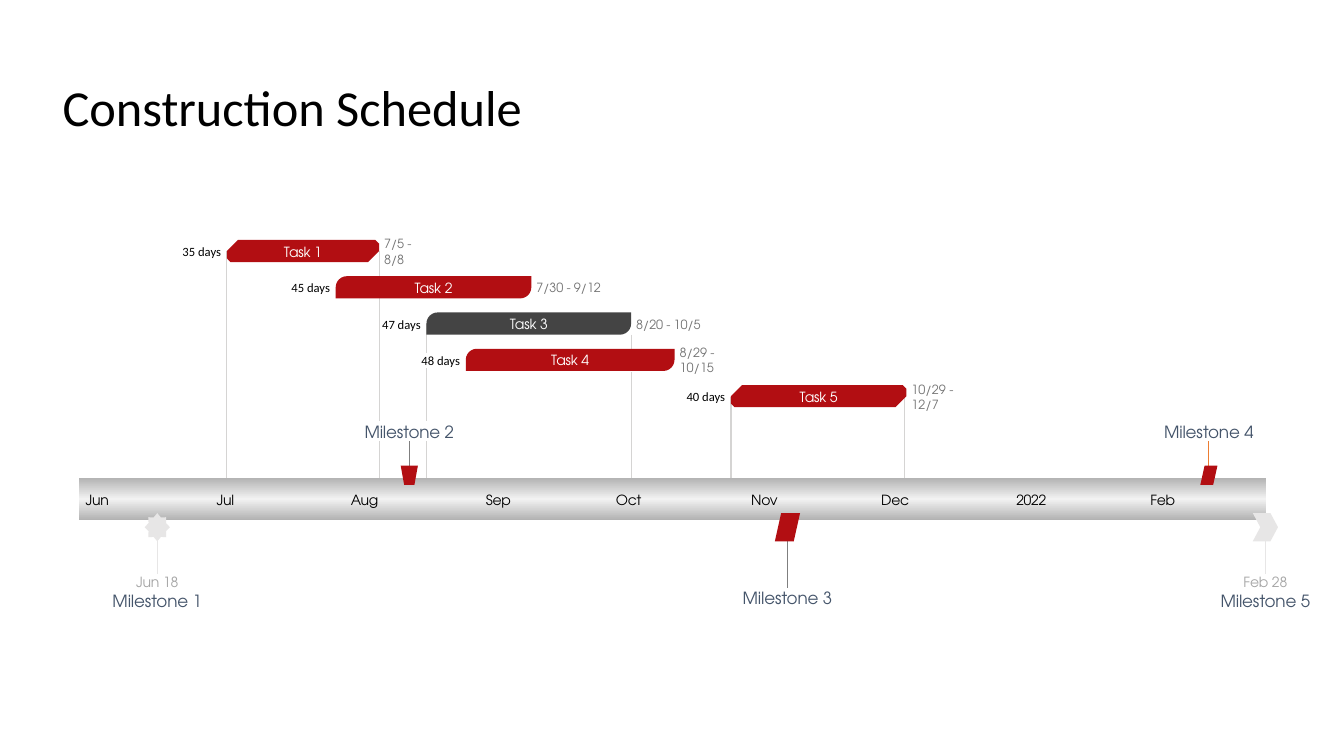
from pptx import Presentation
from pptx.dml.color import RGBColor
from pptx.enum.shapes import MSO_CONNECTOR, MSO_SHAPE
from pptx.enum.text import MSO_ANCHOR, MSO_AUTO_SIZE, PP_ALIGN
from pptx.util import Inches, Pt
from copy import deepcopy
from lxml import etree

SNIP = MSO_SHAPE.SNIP_2_DIAG_RECTANGLE
ROUND = MSO_SHAPE.ROUND_2_DIAG_RECTANGLE
TRAPEZOID = MSO_SHAPE.FLOWCHART_MANUAL_OPERATION
SLANTED = MSO_SHAPE.PARALLELOGRAM
STAR = MSO_SHAPE.STAR_8_POINT
CHEVRON = MSO_SHAPE.CHEVRON
RECTANGLE = MSO_SHAPE.RECTANGLE
STRAIGHT = MSO_CONNECTOR.STRAIGHT
LEFT, CENTER = PP_ALIGN.LEFT, PP_ALIGN.CENTER
MIDDLE, TOP = MSO_ANCHOR.MIDDLE, MSO_ANCHOR.TOP
GROW, FIXED = MSO_AUTO_SIZE.SHAPE_TO_FIT_TEXT, MSO_AUTO_SIZE.NONE

BODY_FONT, PLAIN_FONT = "TeX Gyre Adventor", "Calibri"
RED, CHARCOAL, PALE = "B20E12", "444444", "E7E6E6"
GUIDE, STEM_GREY, ORANGE = "D5D4D3", "7F7F7F", "ED7D31"
BLACK, WHITE, SLATE = "000000", "FFFFFF", "44546A"
DATE_GREY, RANGE_GREY = "A5A5A5", "737373"

TIMELINE_TOP = 4.74
FIRST_ROW, ROW_STEP, BAR_HEIGHT = 2.38, 0.36, 0.22
LABEL_GAP = 0.05

MONTHS = [("Jun", 0.85, 0.23), ("Jul", 2.15, 0.17), ("Aug", 3.48, 0.28),
          ("Sep", 4.82, 0.26), ("Oct", 6.11, 0.26), ("Nov", 7.45, 0.27),
          ("Dec", 8.74, 0.29), ("2022", 10.08, 0.31), ("Feb", 11.41, 0.26)]

# name, duration, dates, left, width, outline, colour, dates width, spacing
TASKS = [
    ("Task 1", "35 days", "7/5 - 8/8", 2.25, 1.51, SNIP, RED, 0.5, -10),
    ("Task 2", "45 days", "7/30 - 9/12", 3.33, 1.94, ROUND, RED, 0.64, -10),
    ("Task 3", "47 days", "8/20 - 10/5", 4.23, 2.03, ROUND, CHARCOAL, 0.64, -10),
    ("Task 4", "48 days", "8/29 - 10/15", 4.62, 2.07, ROUND, RED, 0.71, 0),
    ("Task 5", "40 days", "10/29 - 12/7", 7.25, 1.74, SNIP, RED, 0.71, 0),
]

# x, then the visible stretches between the bars and labels it passes
GUIDES = [
    (2.25, [(2.49, TIMELINE_TOP)]),
    (3.76, [(2.49, 2.74), (2.96, 4.18), (4.38, TIMELINE_TOP)]),
    (4.23, [(3.21, 3.5), (3.65, 4.18), (4.38, TIMELINE_TOP)]),
    (6.26, [(3.32, 3.46), (3.69, TIMELINE_TOP)]),
    (7.25, [(3.94, TIMELINE_TOP)]),
    (8.97, [(3.94, TIMELINE_TOP)]),
]

# name, centre x, label top, outline, marker colour, stem colour, date
MILESTONES = [
    ("Milestone 1", 1.56, 5.86, STAR, PALE, PALE, "Jun 18"),
    ("Milestone 2", 4.06, 4.18, TRAPEZOID, RED, STEM_GREY, None),
    ("Milestone 3", 7.81, 5.83, SLANTED, RED, STEM_GREY, None),
    ("Milestone 4", 11.99, 4.18, SLANTED, RED, ORANGE, None),
    ("Milestone 5", 12.55, 5.86, CHEVRON, PALE, PALE, "Feb 28"),
]


def rgb(value):
    return RGBColor.from_string(value)


def write(paragraph, text, size, color, font=BODY_FONT, spacing=0):
    run = paragraph.add_run()
    run.text = text
    run.font.size = Pt(size)
    run.font.name = font
    run.font.color.rgb = rgb(color)
    if spacing:
        run.font._element.set("spc", str(spacing))


def add_label(slide, text, left, top, width, height, size, color,
              font=BODY_FONT, align=LEFT, spacing=-10, wrap=True):
    label = slide.shapes.add_textbox(Inches(left), Inches(top),
                                     Inches(width), Inches(height))
    frame = label.text_frame
    frame.margin_left = frame.margin_right = 0
    frame.margin_top = frame.margin_bottom = 0
    frame.word_wrap = wrap
    frame.auto_size = GROW if wrap else FIXED
    frame.vertical_anchor = MIDDLE
    paragraph = frame.paragraphs[0]
    paragraph.alignment = align
    write(paragraph, text, size, color, font, spacing)
    return label


def add_block(slide, outline, left, top, width, height, color):
    block = slide.shapes.add_shape(outline, Inches(left), Inches(top),
                                   Inches(width), Inches(height))
    block.shadow.inherit = False
    block.line.fill.background()
    block.fill.solid()
    block.fill.fore_color.rgb = rgb(color)
    return block


def add_vertical(slide, x, top, bottom, color):
    line = slide.shapes.add_connector(STRAIGHT, Inches(x), Inches(top),
                                      Inches(x), Inches(bottom))
    line.line.width = Pt(0.75)
    line.line.color.rgb = rgb(color)
    properties = line._element.spPr
    etree.SubElement(properties, properties.tag.replace(
        "presentationml", "drawingml").replace("spPr", "effectLst"))
    for effects in properties.findall("{*}effectLst"):
        effects_tag = "{http://schemas.openxmlformats.org/drawingml/2006/main}effectLst"
        effects.tag = effects_tag
    return line


def add_title(slide, text):
    title = slide.shapes.title
    title.left, title.top = Inches(0.52), Inches(0.7)
    title.width, title.height = Inches(6.67), Inches(0.4)
    frame = title.text_frame
    frame.vertical_anchor = TOP
    frame.auto_size = GROW
    frame.paragraphs[0].alignment = LEFT
    write(frame.paragraphs[0], text, 36, BLACK, PLAIN_FONT)


def add_timeline(slide):
    timeline = add_block(slide, RECTANGLE, 0.78, TIMELINE_TOP, 11.78, 0.42, WHITE)
    timeline.fill.gradient()
    timeline.fill.gradient_angle = 90
    first_stop = timeline.fill.gradient_stops[0]._gs
    first_stop.addnext(deepcopy(first_stop))
    shades = [(0, "B2B2B2"), (0.5, "F2F2F2"), (1, "B2B2B2")]
    for stop, (position, shade) in zip(timeline.fill.gradient_stops, shades):
        stop.position = position
        stop.color.rgb = rgb(shade)
    for month, left, width in MONTHS:
        add_label(slide, month, left, 4.87, width, 0.17, 10, BLACK,
                  spacing=-20, wrap=False)


def add_task(slide, row, name, duration, dates, left, width, outline, color,
             dates_width, dates_spacing):
    top = FIRST_ROW + row * ROW_STEP
    bar = add_block(slide, outline, left, top, width, BAR_HEIGHT, color)
    bar.adjustments[0] = 1
    bar.adjustments[1] = 0.167 if outline == SNIP else 0
    add_label(slide, duration, left - LABEL_GAP - 0.39, top + 0.04, 0.39, 0.15,
              9, BLACK, PLAIN_FONT, spacing=0)
    add_label(slide, dates, left + width + LABEL_GAP, top + 0.04, dates_width,
              0.15, 9, RANGE_GREY, spacing=dates_spacing)
    add_label(slide, name, left + width / 2 - 0.2, top + 0.03, 0.4, 0.17,
              10, WHITE, align=CENTER)


def add_milestone(slide, name, x, label_top, outline, color, stem_color, date):
    above = label_top < TIMELINE_TOP
    nearest = add_label(slide, name, x - 0.46, label_top, 0.92, 0.2, 12, SLATE,
                        align=CENTER)
    if date:
        nearest = add_label(slide, date, x - 0.23, label_top - 0.17, 0.46, 0.17,
                            10, DATE_GREY, align=CENTER)
    if above:
        marker_top, width, height = 4.62, 0.17, 0.19
        stem = add_vertical(slide, x, label_top + 0.2, 4.72, stem_color)
        stem.begin_connect(nearest, 2)
    else:
        marker_top, width, height = 5.09, 0.25, 0.28
        stem = add_vertical(slide, x, 5.23, label_top, stem_color)
        stem.end_connect(nearest, 0)
    marker = add_block(slide, outline, x - width / 2, marker_top, width, height,
                       color)
    if outline == CHEVRON:
        marker.adjustments[0] = 0.3


def main():
    deck = Presentation()
    deck.slide_width, deck.slide_height = Inches(13.33), Inches(7.5)
    slide = deck.slides.add_slide(deck.slide_layouts[5])
    add_title(slide, "Construction Schedule")
    for x, stretches in GUIDES:
        for top, bottom in stretches:
            add_vertical(slide, x, top, bottom, GUIDE)
    add_timeline(slide)
    for row, task in enumerate(TASKS):
        add_task(slide, row, *task)
    for milestone in MILESTONES:
        add_milestone(slide, *milestone)
    deck.save("out.pptx")


if __name__ == "__main__":
    main()
